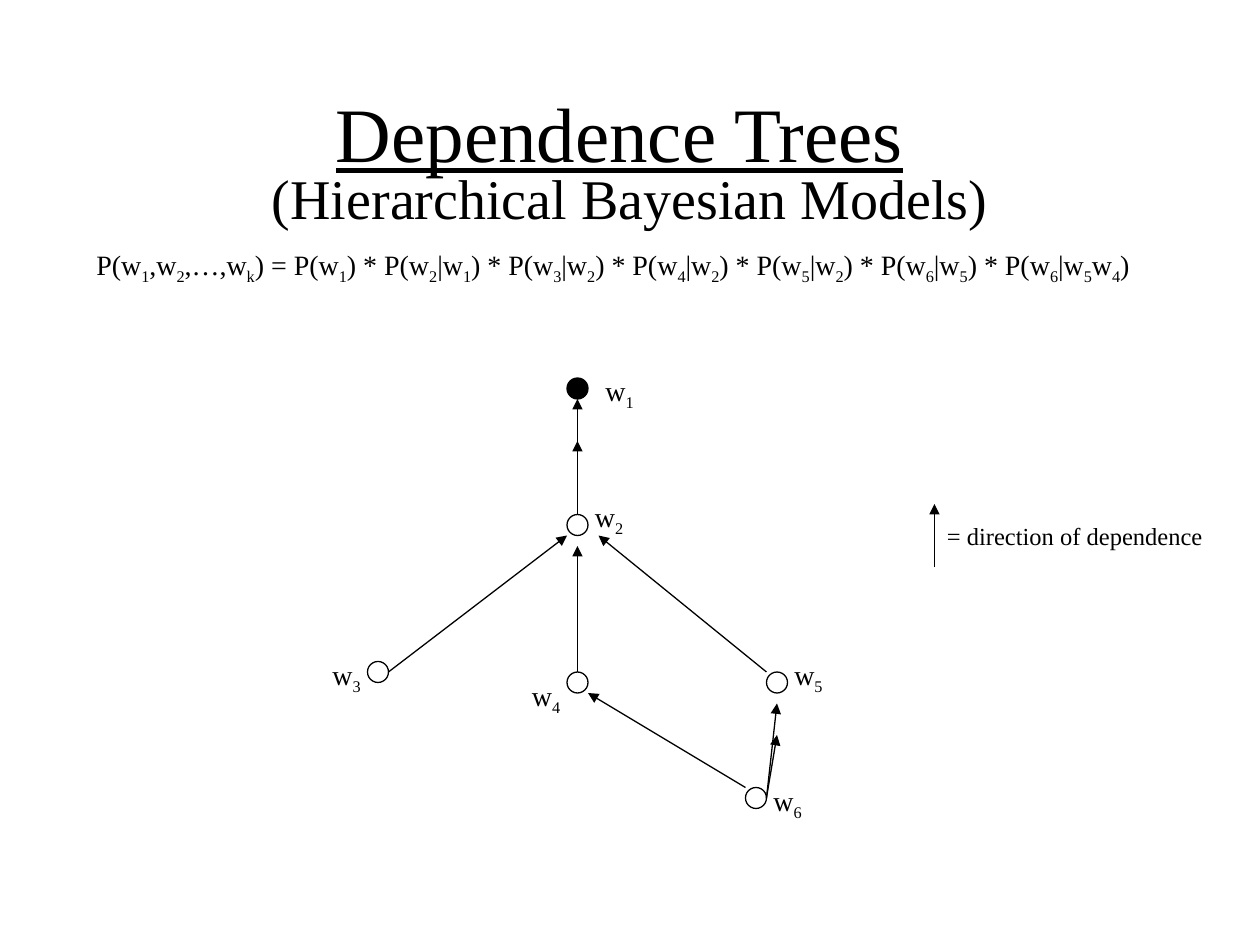
"""Build the Dependence Trees slide with its formula and directed graph."""
from lxml import etree
from pptx import Presentation
from pptx import util as u
from pptx.dml.color import RGBColor
from pptx.enum import shapes, text
from pptx.oxml.ns import qn

BLACK = "000000"
NODE_SIZE = 12


def color(value):
    return RGBColor.from_string(value)


def add_text(slide, content, box, size, align="LEFT", anchor="TOP", fit="NONE", underline=False):
    shape = slide.shapes.add_textbox(*map(u.Pt, box))
    frame_format = {
        "word_wrap": True,
        "auto_size": getattr(text.MSO_AUTO_SIZE, fit),
        "vertical_anchor": getattr(text.MSO_ANCHOR, anchor),
    }
    for name, value in frame_format.items():
        setattr(shape.text_frame, name, value)
    paragraph = shape.text_frame.paragraphs[0]
    paragraph.alignment = getattr(text.PP_ALIGN, align)
    first, *others = content.split("_")
    pieces = [(first, False)]
    for other in others:
        pieces += [(other[0], True), (other[1:], False)]
    for piece, subscript in pieces:
        if not piece:
            continue
        run = paragraph.add_run()
        run.text = piece
        font_format = {"name": "Times New Roman", "size": u.Pt(size), "underline": underline}
        for name, value in font_format.items():
            setattr(run.font, name, value)
        run.font.color.rgb = color(BLACK)
        if subscript:
            run._r.get_or_add_rPr().set("baseline", "-25000")


presentation = Presentation()
presentation.slide_width = u.Pt(720)
presentation.slide_height = u.Pt(540)
slide = presentation.slides.add_slide(presentation.slide_layouts[6])

add_text(slide, "Dependence Trees", (48, 30, 612, 90), 44, "CENTER", "MIDDLE", underline=True)
add_text(slide, "(Hierarchical Bayesian Models)", (108, 90, 504, 138), 32, "CENTER")

factors = ["w_1", "w_2|w_1", "w_3|w_2", "w_4|w_2", "w_5|w_2", "w_6|w_5", "w_6|w_5w_4"]
formula = "P(w_1,w_2,…,w_k) = " + " * ".join(f"P({factor})" for factor in factors)
add_text(slide, formula, (48, 138, 636, 29.5), 16, fit="SHAPE_TO_FIT_TEXT")
add_text(slide, "= direction of dependence", (534, 294, 162, 24.5), 14, fit="SHAPE_TO_FIT_TEXT")

nodes = [
    ("w_1", (324, 216), (330, 210), 48),
    ("w_2", (324, 294), (330, 282), 36),
    ("w_3", (210, 378), (180, 372), 36),
    ("w_4", (324, 384), (294, 384), 36),
    ("w_5", (438, 384), (444, 372), 36),
    ("w_6", (426, 450), (432, 444), 36),
]
for label, position, label_position, label_width in nodes:
    shape = slide.shapes.add_shape(
        shapes.MSO_SHAPE.OVAL, *map(u.Pt, (*position, NODE_SIZE, NODE_SIZE))
    )
    shape.shadow.inherit = False
    if label == "w_1":
        shape.fill.solid()
        shape.fill.fore_color.rgb = color(BLACK)
    else:
        shape.fill.background()
    shape.line.color.rgb = color(BLACK)
    shape.line.width = u.Pt(0.75)
    add_text(slide, label, (*label_position, label_width, 29.5), 16, "CENTER",
             fit="SHAPE_TO_FIT_TEXT")

arrows = [
    (534, 324, 534, 288),
    (330, 294, 330, 228),
    (330, 294, 330, 252),
    (222, 384, 324, 306),
    (330, 384, 330, 312),
    (426, 450, 336, 396),
    (438, 456, 444, 402),
    (438, 456, 444, 420),
    (438, 384, 342, 306),
]
for arrow in arrows:
    connector = slide.shapes.add_connector(shapes.MSO_CONNECTOR.STRAIGHT, *map(u.Pt, arrow))
    connector.line.color.rgb = color(BLACK)
    connector.line.width = u.Pt(0.75)
    etree.SubElement(connector.line._get_or_add_ln(), qn("a:tailEnd"), type="triangle")
    etree.SubElement(connector._element.spPr, qn("a:effectLst"))

presentation.save("out.pptx")
